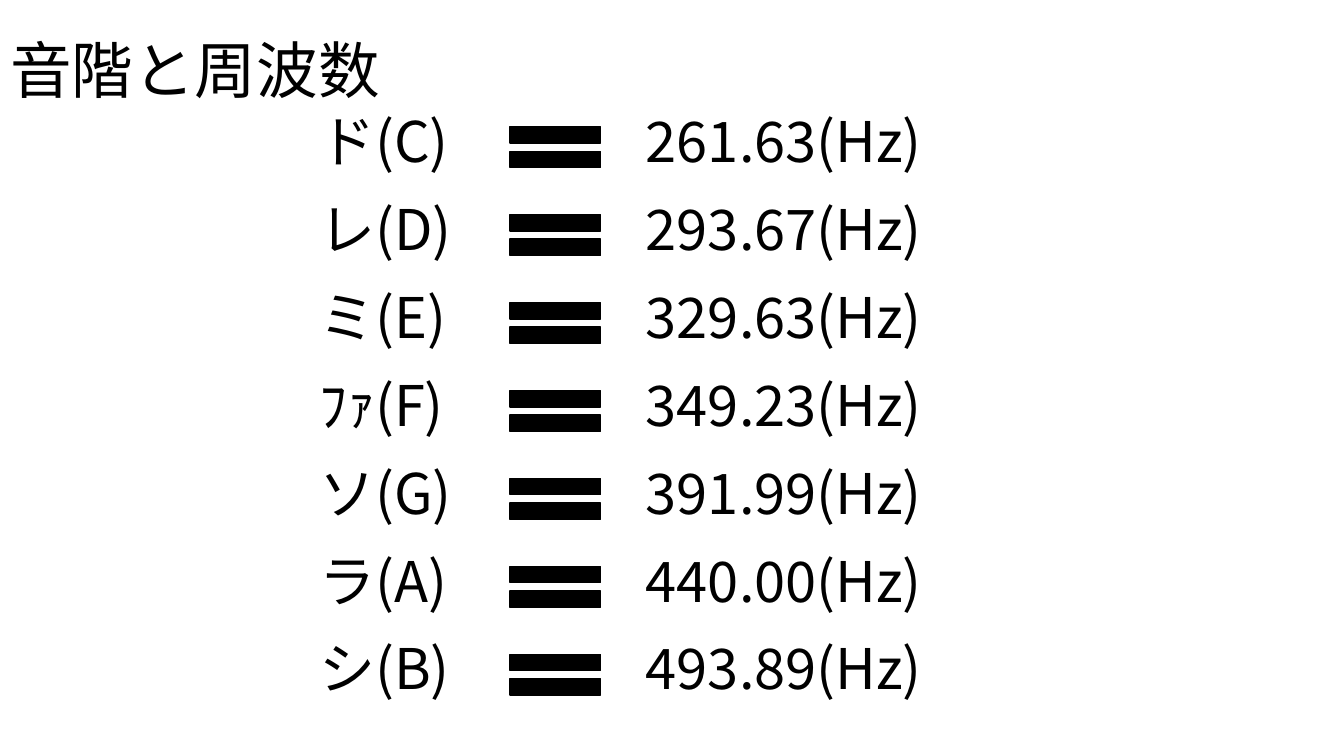
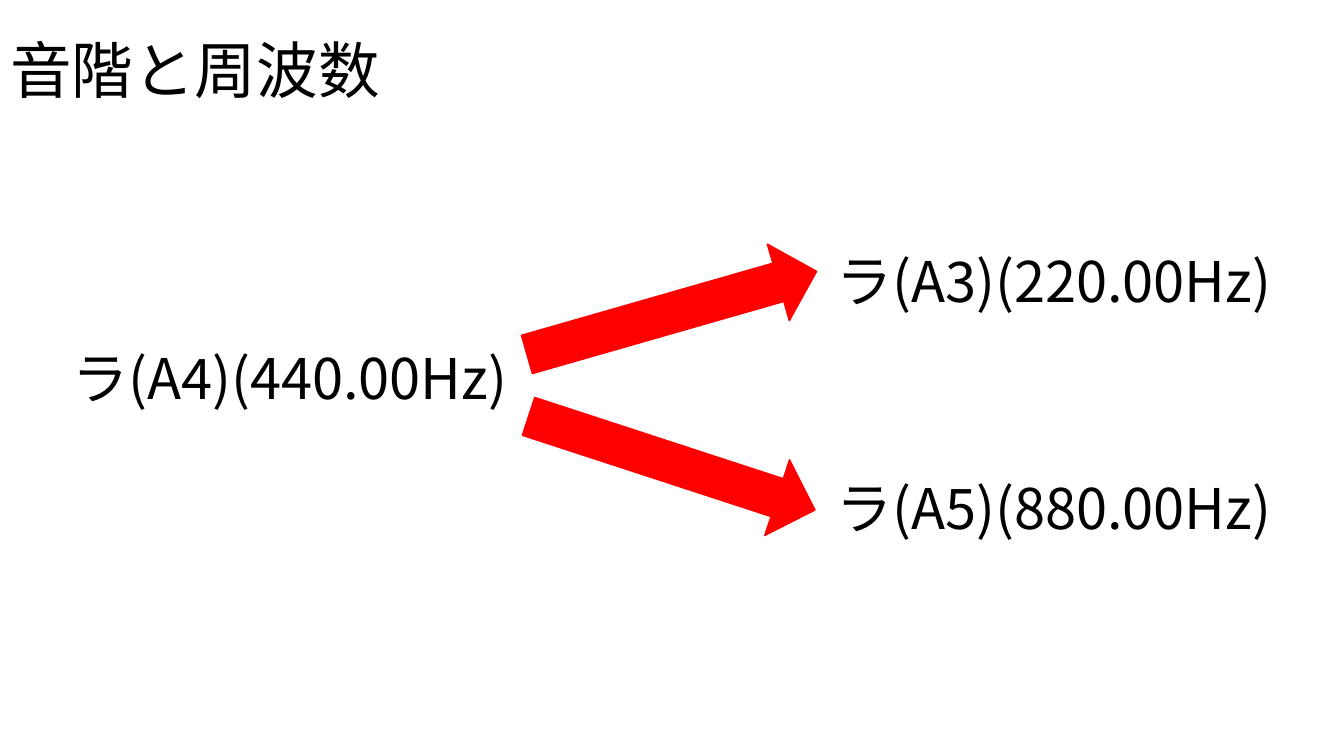
from lxml import etree
from pptx import Presentation
from pptx.dml.color import RGBColor
from pptx.enum import shapes, text
from pptx.oxml import ns
from pptx.util import Pt

BLACK = RGBColor(0, 0, 0)
RED = RGBColor(255, 0, 0)
FONT = "Noto Sans CJK JP"
TITLE = "音階と周波数"
TITLE_SIZE, BODY_SIZE = 44, 40

NOTES = [
    ("ド(C)", "261.63(Hz)"),
    ("レ(D)", "293.67(Hz)"),
    ("ミ(E)", "329.63(Hz)"),
    ("ﾌｧ(F)", "349.23(Hz)"),
    ("ソ(G)", "391.99(Hz)"),
    ("ラ(A)", "440.00(Hz)"),
    ("シ(B)", "493.89(Hz)"),
]
FIRST_ROW, ROW_PITCH = 72.5, 62.8


def style_paragraph(para, size, align):
    """Set the font for Latin and Japanese characters alike."""
    para.alignment = align
    font = para.font
    font.size = Pt(size)
    font.color.rgb = BLACK
    font.name = FONT
    defaults = para._p.pPr.find(ns.qn("a:defRPr"))
    etree.SubElement(defaults, ns.qn("a:ea"), typeface=FONT)


def add_titled_page(deck):
    page = deck.slides.add_slide(deck.slide_layouts[5])
    title = page.shapes.title
    title.left, title.top, title.width, title.height = Pt(0), Pt(0), Pt(828), Pt(104.4)
    frame = title.text_frame
    frame.text = TITLE
    frame.vertical_anchor = text.MSO_ANCHOR.MIDDLE
    frame.auto_size = text.MSO_AUTO_SIZE.NONE
    para = frame.paragraphs[0]
    para.line_spacing = 0.9
    style_paragraph(para, TITLE_SIZE, text.PP_ALIGN.LEFT)
    return page


def add_label(page, wording, left, top, width, height, align=text.PP_ALIGN.LEFT):
    box = page.shapes.add_textbox(Pt(left), Pt(top), Pt(width), Pt(height))
    frame = box.text_frame
    frame.word_wrap = True
    frame.auto_size = text.MSO_AUTO_SIZE.SHAPE_TO_FIT_TEXT
    frame.text = wording
    style_paragraph(frame.paragraphs[0], BODY_SIZE, align)


def add_solid(page, kind, color, left, top, width, height, rotation=0):
    solid = page.shapes.add_shape(kind, Pt(left), Pt(top), Pt(width), Pt(height))
    solid.shadow.inherit = False
    solid.fill.solid()
    solid.fill.fore_color.rgb = color
    solid.line.color.rgb = color
    solid.line.width = Pt(1)
    solid.rotation = rotation


def add_pitch_label(page, wording, left, top):
    add_label(page, wording, left, top, 368, 55.4, text.PP_ALIGN.CENTER)


def add_octave_arrow(page, top, rotation):
    add_solid(page, shapes.MSO_SHAPE.RIGHT_ARROW, RED, 372.2, top, 215.3, 56.9, rotation)


def build_scale_page(deck):
    page = add_titled_page(deck)
    for row, (note, frequency) in enumerate(NOTES):
        top = FIRST_ROW + row * ROW_PITCH
        add_label(page, note, 221, top, 150.5, 65.5)
        add_solid(page, shapes.MSO_SHAPE.MATH_EQUAL, BLACK, 352.8, top + 7.8, 87.8, 49.7)
        add_label(page, frequency, 454.3, top, 284.4, 59)


def build_octave_page(deck):
    page = add_titled_page(deck)
    add_pitch_label(page, "ラ(A4)(440.00Hz)", 23, 242)
    add_octave_arrow(page, 195.1, 344)
    add_octave_arrow(page, 302.4, 18.1)
    add_pitch_label(page, "ラ(A3)(220.00Hz)", 568.8, 172.8)
    add_pitch_label(page, "ラ(A5)(880.00Hz)", 568.8, 334.8)


def main():
    deck = Presentation()
    deck.slide_width, deck.slide_height = Pt(960), Pt(540)
    build_scale_page(deck)
    build_octave_page(deck)
    deck.save("out.pptx")


if __name__ == "__main__":
    main()
